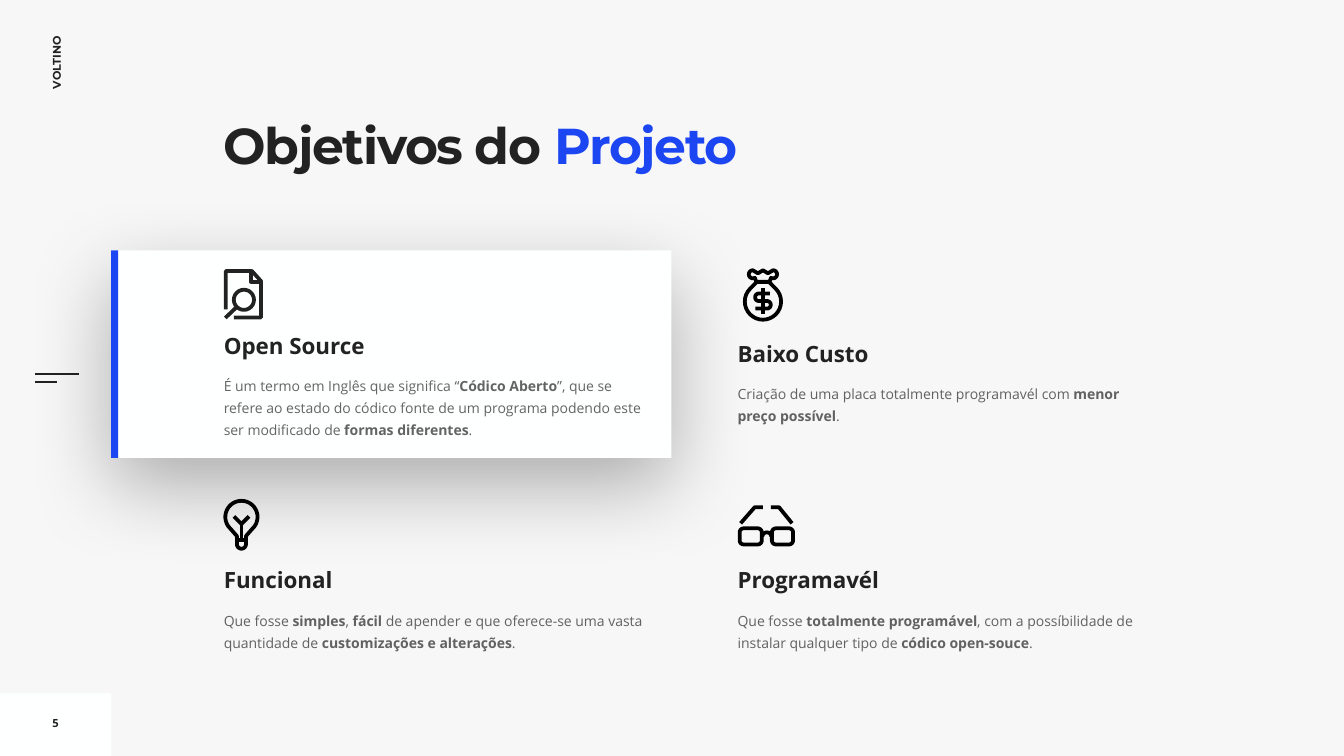
import math

import pptx
import pptx.dml.color
import pptx.enum.shapes
import pptx.enum.text
import pptx.oxml
import pptx.oxml.ns
import pptx.util

Cm, Pt = pptx.util.Cm, pptx.util.Pt
RGBColor = pptx.dml.color.RGBColor
PP_ALIGN, MSO_ANCHOR = pptx.enum.text.PP_ALIGN, pptx.enum.text.MSO_ANCHOR

PAPER = RGBColor(0xF7, 0xF7, 0xF7)
WHITE = RGBColor(0xFE, 0xFF, 0xFF)
INK = RGBColor(0x22, 0x22, 0x22)
BLACK = RGBColor(0, 0, 0)
BLUE = RGBColor(0x1D, 0x46, 0xF3)

ICON_UNIT = 0.0254  # cm per icon grid step
NS = 'xmlns:a="http://schemas.openxmlformats.org/drawingml/2006/main"'
SHADOW = (f'<a:effectLst {NS}><a:outerShdw blurRad="762000" dist="254000" dir="5400000" algn="t" '
          'rotWithShape="0"><a:srgbClr val="000000"><a:alpha val="30000"/></a:srgbClr>'
          '</a:outerShdw></a:effectLst>')


def arc(cx, cy, radius, start, end, steps=24):
    """Points on an arc, in degrees clockwise from the right."""
    angles = [math.radians(start + (end - start) * i / steps) for i in range(steps + 1)]
    return [(cx + radius * math.cos(a), cy + radius * math.sin(a)) for a in angles]


def lens(left, top, right, bottom, radius=4):
    """Closed outline of a rounded rectangle."""
    x0, x1, y0, y1 = left + radius, right - radius, top + radius, bottom - radius
    corners = [(x0, y0, 180), (x1, y0, 270), (x1, y1, 0), (x0, y1, 90)]
    points = [pt for x, y, a in corners for pt in arc(x, y, radius, a, a + 90, 6)]
    return points + points[:1]


# Icon strokes, as lists of points on the icon grid
DOCUMENT = [
    [(2, 40), (2, 2), (28, 2), (37, 12), (37, 48), (10, 48)],
    [(27, 2), (27, 12.5), (37, 12.5)],
    arc(20, 30.5, 10, 0, 360),
    [(12.5, 38), (1.5, 48.5)],
]
MONEY_BAG = [
    [(14, 13.5), (26, 13.5)] + arc(20, 33, 18, -45, 225) + [(14, 13.5)],
    [(13.5, 13.5)] + arc(10, 6, 4, 60, 270) + [(15, 5), (20, 2), (25, 5)]
    + arc(30, 6, 4, -90, 120) + [(26.5, 13.5)],
    [(27, 25)] + arc(16, 28.75, 3.75, 270, 90) + arc(24, 36.25, 3.75, -90, 90) + [(12.5, 40)],
    [(20, 20), (20, 45)],
]
GLASSES = [
    lens(2, 23, 24, 39),
    lens(34, 23, 55, 39),
    arc(29, 31.5, 4.5, 180, 360),
    [(25, 2), (17, 2), (3, 18)],
    [(33, 2), (41, 2), (54, 18)],
]
BULB = [
    arc(17.5, 18, 16, 145, 395) + [(22, 37), (22, 45)] + arc(17.5, 45, 4.5, 0, 180)
    + [(13, 37), (4.4, 27.2)],
    [(13, 41), (22, 41)],
    [(17.5, 41), (17.5, 25)],
    [(10, 17.5), (17.5, 25), (25, 17.5)],
]


class SlideBuilder:
    heading_font, body_font = "Montserrat", "Open Sans"

    def __init__(self, slide):
        self.slide = slide
        slide.background.fill.solid()
        slide.background.fill.fore_color.rgb = PAPER

    def rect(self, x, y, w, h, color, shadow=False):
        sp = self.slide.shapes.add_shape(
            pptx.enum.shapes.MSO_SHAPE.RECTANGLE, Cm(x), Cm(y), Cm(w), Cm(h))
        sp.fill.solid()
        sp.fill.fore_color.rgb = color
        sp.line.fill.background()
        if shadow:
            sp._element.spPr.append(pptx.oxml.parse_xml(SHADOW))
        else:
            sp.shadow.inherit = False

    def line(self, x, y, w):
        cn = self.slide.shapes.add_connector(
            pptx.enum.shapes.MSO_CONNECTOR.STRAIGHT, Cm(x), Cm(y), Cm(x + w), Cm(y))
        cn.line.color.rgb = INK
        cn.line.width = Pt(1.5)
        cn._element.spPr.append(pptx.oxml.parse_xml(f"<a:effectLst {NS}/>"))

    def text_box(self, x, y, w, h, insets=(0, 0.1, 0.6, 0.1), grow=False):
        sp = self.slide.shapes.add_textbox(Cm(x), Cm(y), Cm(w), Cm(h))
        tf = sp.text_frame
        tf.word_wrap = True
        tf.margin_left, tf.margin_top, tf.margin_right, tf.margin_bottom = map(Cm, insets)
        if grow:
            tf.auto_size = pptx.enum.text.MSO_AUTO_SIZE.SHAPE_TO_FIT_TEXT
        return sp

    def style(self, p, size, font, bold=True, spacing=None, align=None):
        p.font.size, p.font.name, p.font.color.rgb = Pt(size), font, INK
        if bold:
            p.font.bold = True
        p.line_spacing, p.alignment = spacing, align

    def label(self, text, x, y, w, h, font, rotation=0, **layout):
        sp = self.text_box(x, y, w, h, **layout)
        sp.rotation = rotation
        sp.text_frame.vertical_anchor = MSO_ANCHOR.TOP if rotation else MSO_ANCHOR.MIDDLE
        p = sp.text_frame.paragraphs[0]
        p.text = text
        self.style(p, 8, font, spacing=1.3 if rotation else None, align=PP_ALIGN.CENTER)

    def title(self, text, accent, x, y, w, h):
        p = self.text_box(x, y, w, h, (0, 0.53, 0, 0)).text_frame.paragraphs[0]
        self.style(p, 36, self.heading_font, spacing=0.8)
        for part in (text, accent):
            r = p.add_run()
            r.text = part
            r.font._element.set("spc", "-100")
        r.font.color.rgb = BLUE

    def goal(self, heading, body, x, y, h, heading_spacing=1.3):
        """Heading and description; asterisks enclose the bold words."""
        tf = self.text_box(x, y, 11.28, h, grow=True).text_frame
        p = tf.paragraphs[0]
        p.text = heading
        self.style(p, 16, self.body_font, spacing=heading_spacing)
        p = tf.add_paragraph()
        self.style(p, 10, self.body_font, bold=False, spacing=1.3)
        p.space_before = Pt(10)
        for i, part in enumerate(body.split("*")):
            r = p.add_run()
            r.text = part
            r.font.bold = i % 2 == 1
        # 70 % opaque text
        for clr in p._p.iter(pptx.oxml.ns.qn("a:srgbClr")):
            clr.append(pptx.oxml.parse_xml(f'<a:alpha {NS} val="70000"/>'))

    def icon(self, strokes, x, y, color):
        paths = [[(Cm(px * ICON_UNIT), Cm(py * ICON_UNIT)) for px, py in s] for s in strokes]
        fb = self.slide.shapes.build_freeform(*paths[0][0])
        for i, points in enumerate(paths):
            if i:
                fb.move_to(*points[0])
            fb.add_line_segments(points[1:], close=False)
        sp = fb.convert_to_shape(Cm(x), Cm(y))
        sp.fill.background()
        sp.line.color.rgb = color
        sp.line.width = Pt(2.7)
        sp.shadow.inherit = False


def main():
    prs = pptx.Presentation()
    prs.slide_width, prs.slide_height = Cm(33.87), Cm(19.05)
    s = SlideBuilder(prs.slides.add_slide(prs.slide_layouts[6]))
    left, right = 5.64, 18.59
    upper, lower = 8.26, 13.97

    # Page number and side mark
    s.rect(0, 17.47, 2.8, 1.58, WHITE)
    s.line(0.88, 9.42, 1.11)
    s.line(0.88, 9.63, 0.56)
    s.label("5", 0, 17.7, 2.8, 1.02, s.body_font, insets=(0.25, 0.13, 0.25, 0.13))

    # Highlighted card and title
    s.rect(2.8, 6.31, 14.12, 5.23, WHITE, shadow=True)
    s.rect(2.8, 6.31, 0.18, 5.23, BLUE)
    s.title("Objetivos do ", "Projeto", left, 2.64, 25.43, 3.48)

    # Goals
    s.goal("Open Source", "É um termo em Inglês que significa “*Códico Aberto*”, que se refere ao "
           "estado do códico fonte de um programa podendo este ser modificado de "
           "*formas diferentes*.", left, upper, 2.87, heading_spacing=None)
    s.goal("Baixo Custo", "Criação de uma placa totalmente programavél com "
           "*menor preço possível*.", right, upper, 2.51)
    s.goal("Funcional", "Que fosse *simples*, *fácil* de apender e que oferece-se uma vasta "
           "quantidade de *customizações e alterações*.", left, lower, 2.51)
    s.goal("Programavél", "Que fosse *totalmente programável*, com a possíbilidade de instalar "
           "qualquer tipo de *códico open-souce*.", right, lower, 2.51)

    # Icons
    s.icon(DOCUMENT, left, 6.78, INK)
    s.icon(MONEY_BAG, 18.72, 6.76, BLACK)
    s.icon(GLASSES, right, 12.73, BLACK)
    s.icon(BULB, left, 12.57, BLACK)

    # Vertical project name
    s.rect(0.46, 0.36, 1.98, 4.17, PAPER)
    s.label("VOLTINO", -0.64, 0.97, 3.99, 0.61, s.heading_font, rotation=270, grow=True)

    prs.save("out.pptx")


if __name__ == "__main__":
    main()
